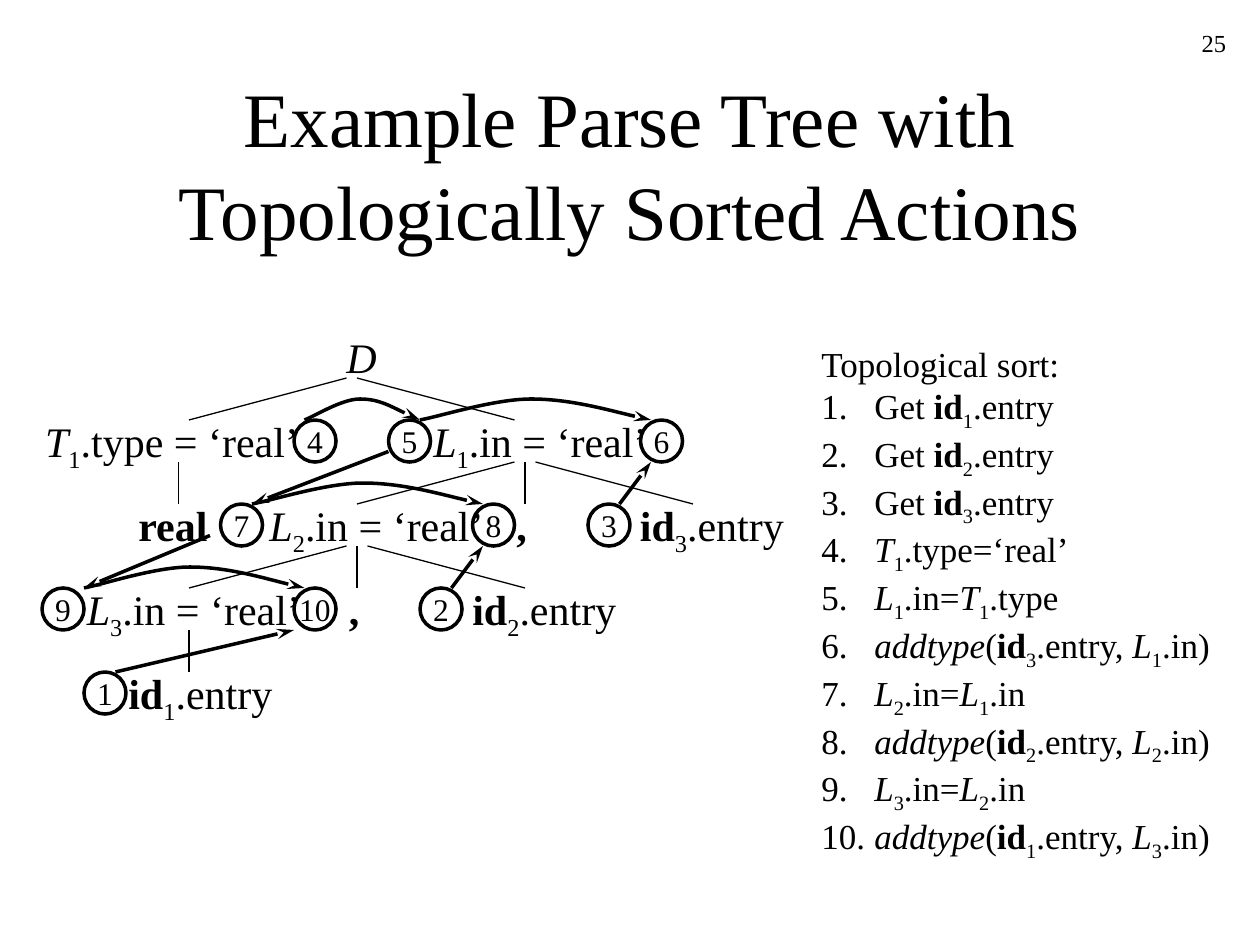
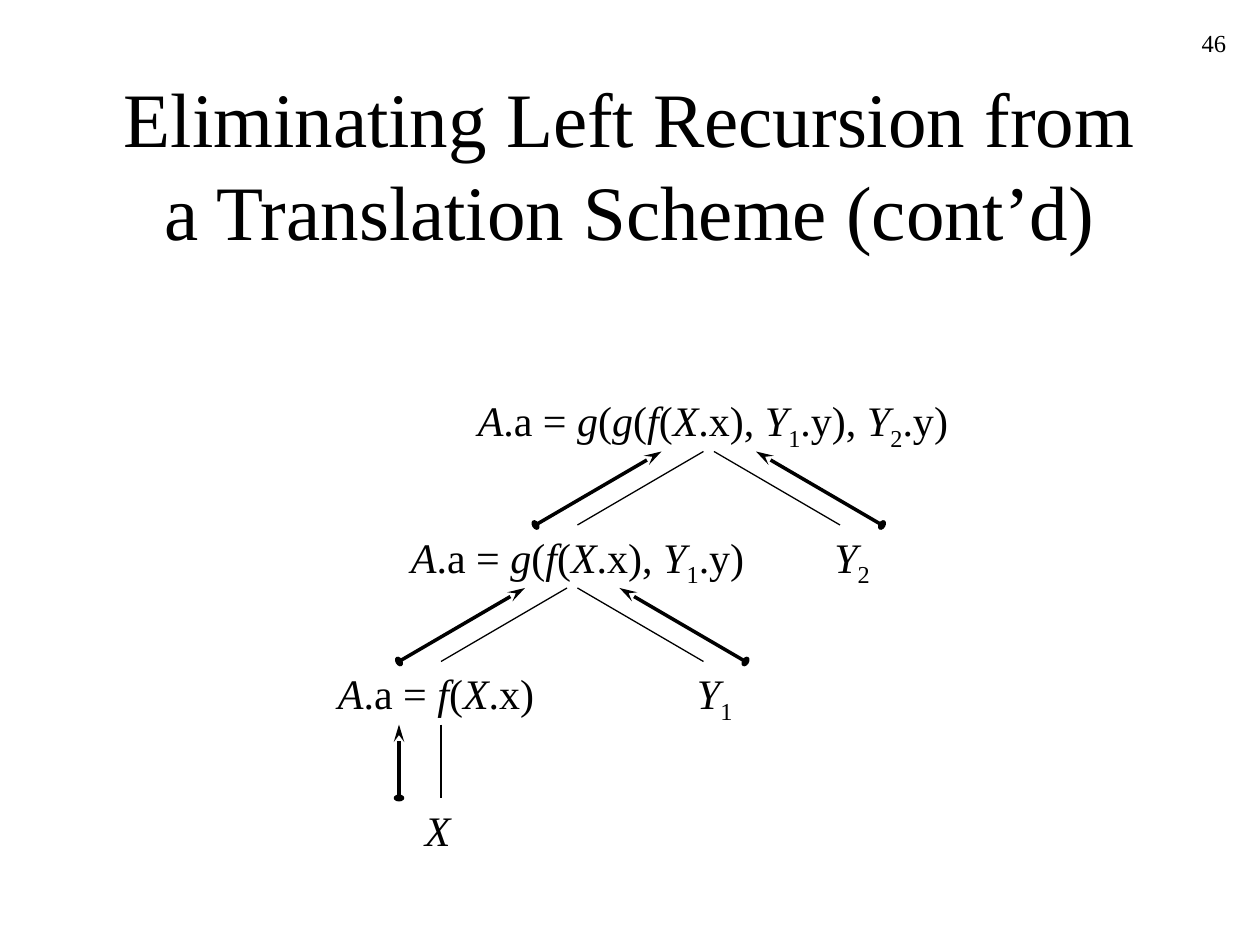
import dataclasses

import lxml.etree
import pptx
import pptx.dml.color
import pptx.enum.shapes
import pptx.enum.text
import pptx.oxml.ns
import pptx.util

Inches = pptx.util.Inches
Pt = pptx.util.Pt
qn = pptx.oxml.ns.qn
Align = pptx.enum.text.PP_ALIGN
Anchor = pptx.enum.text.MSO_ANCHOR
Fit = pptx.enum.text.MSO_AUTO_SIZE
Kind = pptx.enum.shapes.MSO_SHAPE
LINE = pptx.enum.shapes.MSO_CONNECTOR.STRAIGHT


@dataclasses.dataclass(frozen=True)
class Theme:
    ink: pptx.dml.color.RGBColor = pptx.dml.color.RGBColor(0, 0, 0)
    font: str = "Times New Roman"
    title: int = 44
    node: int = 24
    steps: int = 20
    disc: int = 18
    page: int = 14
    thin: float = 0.75
    thick: float = 2
    slack: float = 0.05


@dataclasses.dataclass(frozen=True)
class Box:
    left: float
    top: float
    unit: float = 1 / 12

    def at(self, col, row):
        return Inches(self.left + col * self.unit), Inches(self.top + row * self.unit)


THEME = Theme()

ENDS = {"stealth": "lg", "oval": "sm"}
ARC = [(0.08, 0.15), (0.32, 1), (0.48, 1), (0.65, 1), (0.89, 0.25), (1, 0)]

SORT_ROW = 8
SORT_NODES = [
    (2.4, 0, 0.44, "/D"),
    (0.01, 1, 2.21, "/T|_1|.type = ‘real’"),
    (3.09, 1, 1.9, "/L|_1|.in = ‘real’"),
    (1.79, 2, 1.9, "/L|_2|.in = ‘real’"),
    (0.34, 3, 1.9, "/L|_3|.in = ‘real’"),
    (3.4, 3, 1.34, "*id|_2|.entry"),
    (0.67, 4, 1.34, "*id|_1|.entry"),
    (4.73, 2, 1.34, "*id|_3|.entry"),
    (0.75, 2, 0.75, "*real"),
    (2.42, 3, 0.28, "*,"),
    (3.75, 2, 0.28, "*,"),
]
SORT_LINKS = [
    (30, 15, 0), (31, 46, 0),
    (14, 14, 1), (46, 31, 1), (47, 47, 1), (48, 63, 1),
    (30, 15, 2), (31, 31, 2), (32, 47, 2),
    (15, 15, 3),
]
SORT_DISCS = [(5, 4), (37, 3), (53, 2), (25, 1), (34, 1),
              (58, 1), (18, 2), (42, 2), (1, 3), (25, 3)]
SORT_FLOWS = [
    ((34, 12), (21, 17)), ((17, 20), (5, 25)), ((56, 17), (59, 13)),
    ((40, 25), (43, 21)), ((8, 33), (25, 29)),
]
SORT_ARCS = [(26, 37, 1), (37, 59, 1), (21, 43, 2), (5, 26, 3)]
SORT_STEPS = [
    "Get |*id|_1|.entry",
    "Get |*id|_2|.entry",
    "Get |*id|_3|.entry",
    "/T|_1|.type=‘real’",
    "/L|_1|.in=|/T|_1|.type",
    "/addtype|(|*id|_3|.entry, |/L|_1|.in)",
    "/L|_2|.in=|/L|_1|.in",
    "/addtype|(|*id|_2|.entry, |/L|_2|.in)",
    "/L|_3|.in=|/L|_2|.in",
    "/addtype|(|*id|_1|.entry, |/L|_3|.in)",
]

CALL_ROW = 13
CALL_NODES = [
    (1.11, 0, 3.93, "/A|.a = |/g|(|/g|(|/f|(|/X|.x), |/Y|_1|.y), |/Y|_2|.y)"),
    (3.94, 1, 0.48, "/Y|_2"),
    (2.85, 2, 0.48, "/Y|_1"),
    (0.69, 3, 0.4, "/X"),
    (0.58, 1, 2.84, "/A|.a = |/g|(|/f|(|/X|.x), |/Y|_1|.y)"),
    (0, 2, 1.76, "/A|.a = |/f|(|/X|.x)"),
]
CALL_LINKS = [(36, 24, 0), (37, 49, 0), (23, 11, 1), (24, 36, 1), (11, 11, 2)]
CALL_FLOWS = [(20, 32, 0), (53, 41, 0), (7, 19, 1), (40, 28, 1), (7, 7, 2)]


def write(para, marks, size):
    for part in marks.split("|"):
        style = part[0] if part[0] in "/*_" else ""
        run = para.add_run()
        run.text = part[len(style):]
        run.font.name = THEME.font
        run.font.size = Pt(size)
        run.font.color.rgb = THEME.ink
        if style == "/":
            run.font.italic = True
        elif style == "*":
            run.font.bold = True
        elif style == "_":
            run._r.get_or_add_rPr().set("baseline", "-25000")


def add_text(slide, left, top, width, height):
    frame = slide.shapes.add_textbox(left, top, Inches(width), Inches(height)).text_frame
    frame.word_wrap = False
    frame.auto_size = Fit.SHAPE_TO_FIT_TEXT
    return frame


def ink_line(shape, width, head=None, tail=None):
    shape.line.color.rgb = THEME.ink
    shape.line.width = Pt(width)
    stroke = shape.line._get_or_add_ln()
    for tag, end in (("a:headEnd", head), ("a:tailEnd", tail)):
        if end:
            lxml.etree.SubElement(stroke, qn(tag), type=end, w="med", len=ENDS[end])


def add_line(slide, start, end, width, head=None, tail=None):
    line = slide.shapes.add_connector(LINE, *start, *end)
    ink_line(line, width, head, tail)
    lxml.etree.SubElement(line._element.spPr, qn("a:effectLst"))


def add_arc(slide, box, first, last, base):
    points = [box.at(first + x * (last - first), base - 2 * y) for x, y in ARC]
    draft = slide.shapes.build_freeform(*box.at(first, base))
    draft.add_line_segments(points, close=False)
    arc = draft.convert_to_shape()
    arc.shadow.inherit = False
    arc.fill.background()
    ink_line(arc, THEME.thick, tail="stealth")
    parts = list(arc._element.iter(qn("a:lnTo")))
    route = parts[0].getparent()
    for i in range(0, len(parts), 3):
        curve = lxml.etree.SubElement(route, qn("a:cubicBezTo"))
        for part in parts[i:i + 3]:
            curve.append(part[0])
            route.remove(part)


def add_disc(slide, box, col, row, label):
    side = Inches(4 * box.unit)
    disc = slide.shapes.add_shape(Kind.OVAL, *box.at(col, row), side, side)
    disc.shadow.inherit = False
    disc.fill.background()
    ink_line(disc, THEME.thick)
    frame = disc.text_frame
    frame.word_wrap = False
    frame.vertical_anchor = Anchor.MIDDLE
    frame.paragraphs[0].alignment = Align.CENTER
    write(frame.paragraphs[0], label, THEME.disc)


def add_nodes(slide, box, nodes, pitch):
    for left, row, width, marks in nodes:
        spot = box.at(left / box.unit, row * pitch)
        frame = add_text(slide, *spot, width + THEME.slack, 0.56 if "_" in marks else 0.5)
        write(frame.paragraphs[0], marks, THEME.node)


def add_links(slide, box, links, pitch, drop):
    for upper, lower, row in links:
        base = (row + 1) * pitch
        add_line(slide, box.at(upper, base - drop[0]), box.at(lower, base + drop[1]), THEME.thin)


def sort_tree(slide, box):
    add_nodes(slide, box, SORT_NODES, SORT_ROW)
    add_links(slide, box, SORT_LINKS, SORT_ROW, (3, 1))
    for start, end in SORT_FLOWS:
        add_line(slide, box.at(*start), box.at(*end), THEME.thick, tail="stealth")
    for i, (col, row) in enumerate(SORT_DISCS, 1):
        add_disc(slide, box, col, row * SORT_ROW + 1, str(i))
    for first, last, row in SORT_ARCS:
        add_arc(slide, box, first, last, row * SORT_ROW + 1)


def step_list(slide, box):
    frame = add_text(slide, *box.at(0, 0), 3.3 + THEME.slack, 4.23)
    write(frame.paragraphs[0], "Topological sort:", THEME.steps)
    for i, marks in enumerate(SORT_STEPS, 1):
        para = frame.add_paragraph()
        props = para._p.get_or_add_pPr()
        props.set("marL", str(Inches(0.42)))
        props.set("indent", str(Inches(-0.42)))
        write(para, f"{i}.\t|{marks}", THEME.steps)


def call_tree(slide, box):
    add_nodes(slide, box, CALL_NODES, CALL_ROW)
    add_links(slide, box, CALL_LINKS, CALL_ROW, (7, 0))
    for lower, upper, row in CALL_FLOWS:
        base = (row + 1) * CALL_ROW
        add_line(slide, box.at(lower, base), box.at(upper, base - 7),
                 THEME.thick, head="oval", tail="stealth")


def add_slide(deck, title, page):
    slide = deck.slides.add_slide(deck.slide_layouts[5])
    head = slide.shapes.title
    head.left, head.top = Inches(0.75), Inches(0.67)
    head.width, head.height = Inches(8.5), Inches(1.25)
    frame = head.text_frame
    frame.word_wrap = True
    frame.auto_size = Fit.NONE
    frame.vertical_anchor = Anchor.MIDDLE
    frame.paragraphs[0].alignment = Align.CENTER
    write(frame.paragraphs[0], title, THEME.title)
    note = add_text(slide, Inches(7.75), Inches(0.17), 2.08, 0.5)
    note.word_wrap = True
    note.auto_size = Fit.NONE
    note.paragraphs[0].alignment = Align.RIGHT
    write(note.paragraphs[0], page, THEME.page)
    return slide


def main():
    deck = pptx.Presentation()
    deck.slide_width, deck.slide_height = Inches(10), Inches(7.5)
    slide = add_slide(deck, "Example Parse Tree with Topologically Sorted Actions", "25")
    sort_tree(slide, Box(3 / 12, 31 / 12))
    step_list(slide, Box(6.42, 2.67))
    slide = add_slide(deck, "Eliminating Left Recursion from a Translation Scheme (cont’d)", "46")
    call_tree(slide, Box(31 / 12, 37 / 12))
    deck.save("out.pptx")


if __name__ == "__main__":
    main()
